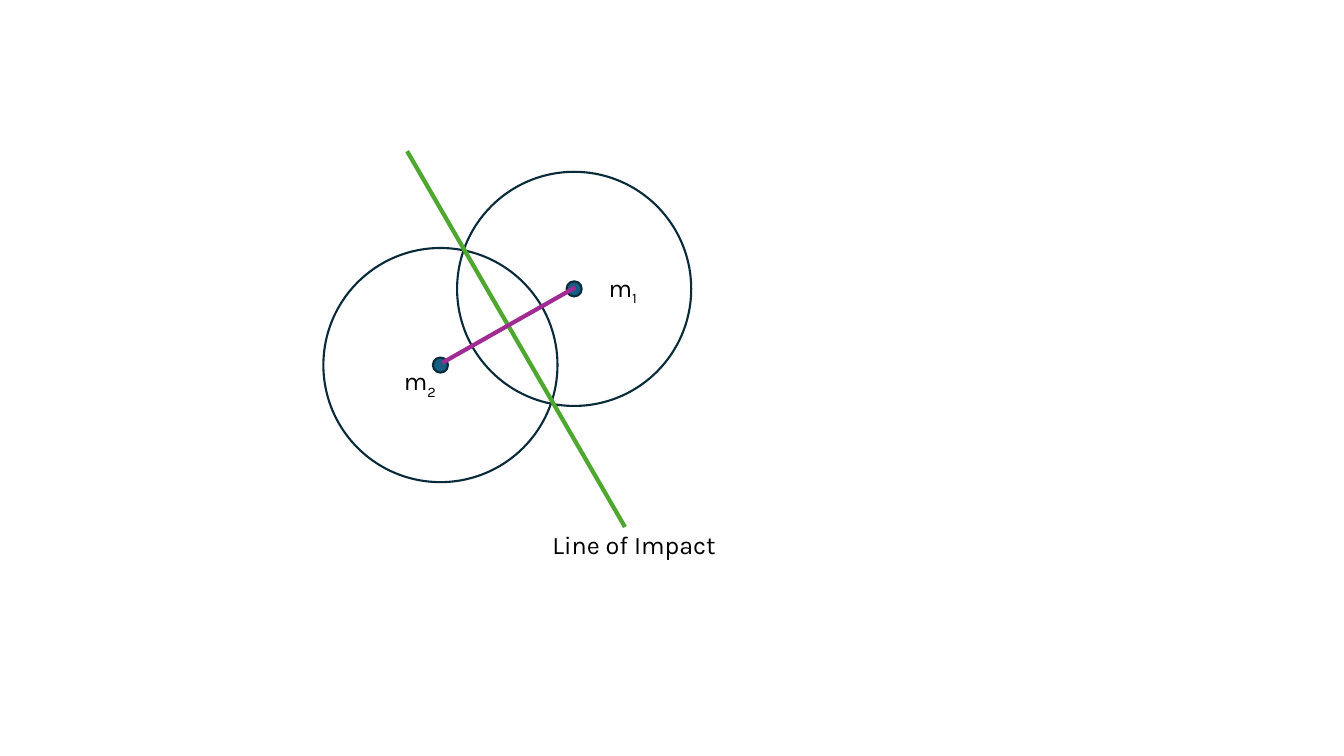
"""Build a slide showing the line of impact between two overlapping circular masses."""
import pptx
import pptx.dml.color
import pptx.enum.shapes
import pptx.enum.text
import pptx.oxml.ns
import pptx.util
from lxml import etree
from pptx.util import Cm

COLOURS = {
    "outline": "092A39",
    "dot": "156082",
    "impact": "4EA72E",
    "centres": "A02B93",
    "text": "000000",
}
TEXT_FORMAT = {"name": "Karla", "size": pptx.util.Pt(18)}
MASS_CENTRES = [(11.1, 9.2), (14.47, 7.28)]
MASS_RADIUS = 2.95
DOT_RADIUS = 0.19


def colour(name):
    return pptx.dml.color.RGBColor.from_string(COLOURS[name])


def style_line(line, name, width):
    line.color.rgb = colour(name)
    line.width = pptx.util.Pt(width)


def add_circle(page, centre, radius, fill=None):
    x, y = centre
    circle = page.shapes.add_shape(
        pptx.enum.shapes.MSO_SHAPE.OVAL,
        Cm(x - radius), Cm(y - radius), Cm(2 * radius), Cm(2 * radius))
    circle.shadow.inherit = False
    if fill:
        circle.fill.solid()
        circle.fill.fore_color.rgb = colour(fill)
    else:
        circle.fill.background()
    style_line(circle.line, "outline", 1.5)


def add_line(page, start, end, name):
    line = page.shapes.add_connector(
        pptx.enum.shapes.MSO_CONNECTOR.STRAIGHT, *map(Cm, start + end))
    style_line(line.line, name, 3)
    etree.SubElement(line._element.spPr, pptx.oxml.ns.qn("a:effectLst"))


def add_label(page, left, top, width, text, subscript=""):
    box = page.shapes.add_textbox(Cm(left), Cm(top), Cm(width), Cm(1.02))
    frame = box.text_frame
    frame.word_wrap = True
    frame.auto_size = pptx.enum.text.MSO_AUTO_SIZE.SHAPE_TO_FIT_TEXT
    para = frame.paragraphs[0]
    for words, baseline in ((text, None), (subscript, "-25000")):
        if not words:
            continue
        span = para.add_run()
        span.text = words
        for attribute, value in TEXT_FORMAT.items():
            setattr(span.font, attribute, value)
        span.font.color.rgb = colour("text")
        if baseline:
            span._r.get_or_add_rPr().set("baseline", baseline)


def main():
    deck = pptx.Presentation()
    deck.slide_width, deck.slide_height = Cm(33.87), Cm(19.05)
    page = deck.slides.add_slide(deck.slide_layouts[6])

    for centre in MASS_CENTRES:
        add_circle(page, centre, MASS_RADIUS)
    add_line(page, (10.26, 3.81), (15.75, 13.28), "impact")
    for centre in MASS_CENTRES:
        add_circle(page, centre, DOT_RADIUS, "dot")
    add_line(page, (11.15, 9.14), (14.5, 7.24), "centres")

    add_label(page, 13.67, 13.21, 5.54, "Line of Impact")
    add_label(page, 15.09, 6.73, 1.32, "m", "1")
    add_label(page, 9.93, 9.09, 1.32, "m", "2")
    deck.save("out.pptx")


if __name__ == "__main__":
    main()
